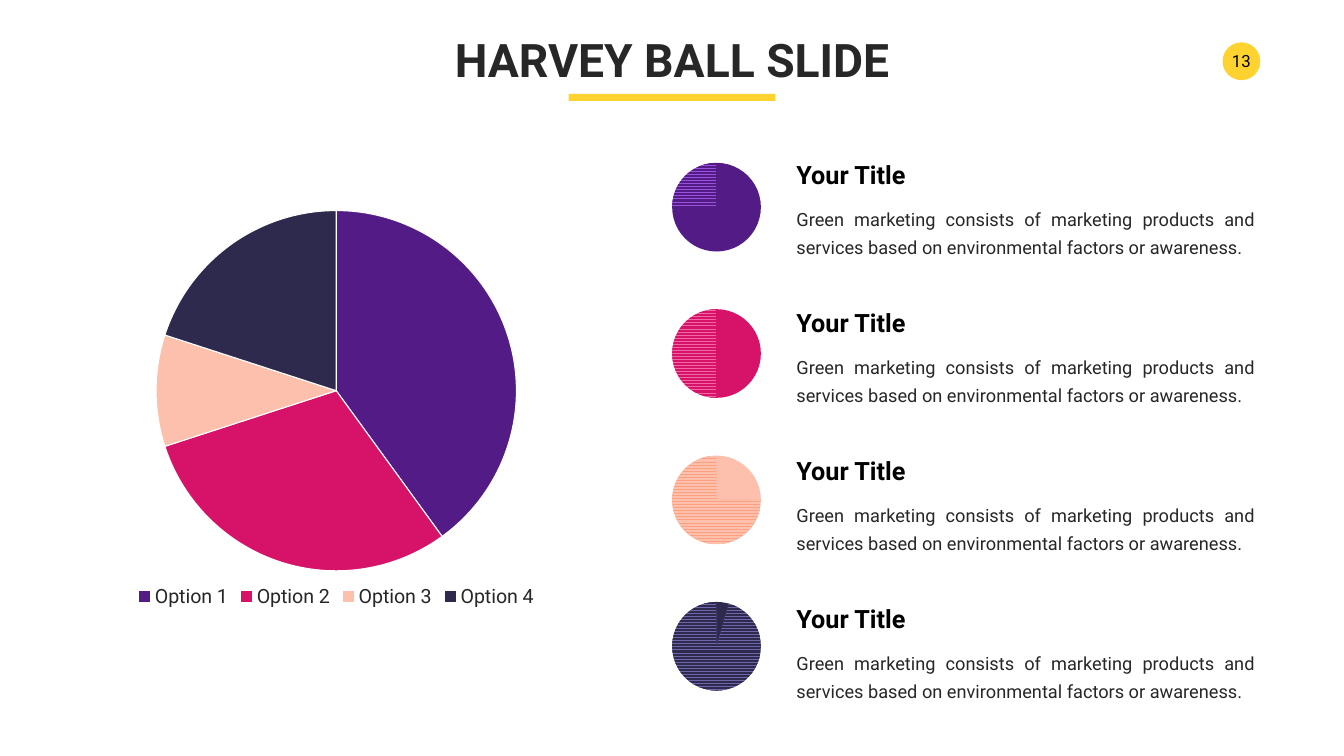
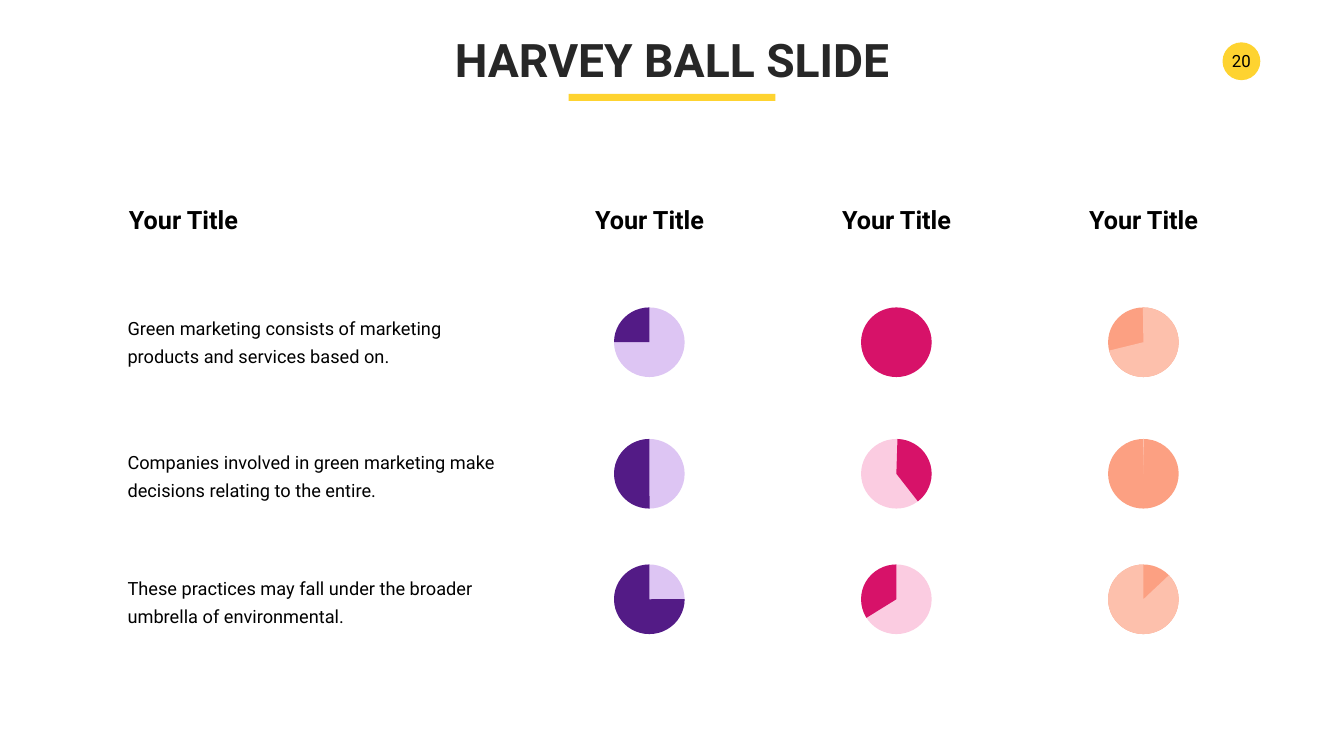
from dataclasses import dataclass
from typing import Optional

from pptx import Presentation
from pptx.chart.data import CategoryChartData
from pptx.dml.color import RGBColor
from pptx.enum.chart import XL_CHART_TYPE, XL_LEGEND_POSITION
from pptx.enum.dml import MSO_PATTERN
from pptx.enum.shapes import MSO_SHAPE
from pptx.enum.text import MSO_ANCHOR, MSO_AUTO_SIZE, PP_ALIGN
from pptx.util import Pt

FONT = "Roboto"
YELLOW, INK, BLACK, WHITE = "FED330", "272727", "000000", "FFFFFF"
PURPLE, PINK, PEACH, NAVY = "531B86", "D71269", "FDC0AC", "2E2A4D"
ORANGE = "FCA082"
HEADING = "Your Title"
BODY = "Green marketing consists of marketing products and services based on environmental factors or awareness."


@dataclass
class Box:
    x: float
    y: float
    w: float
    h: float

    def lengths(self):
        return Pt(self.x), Pt(self.y), Pt(self.w), Pt(self.h)


@dataclass
class Style:
    size: float
    color: str
    bold: bool = False
    align: PP_ALIGN = PP_ALIGN.LEFT
    wrap: bool = False
    spacing: Optional[float] = None
    anchor: MSO_ANCHOR = MSO_ANCHOR.TOP


@dataclass
class Ball:
    box: Box
    base: str
    wedge: str
    start: float
    end: float
    stripe: Optional[str] = None


@dataclass
class Row:
    text: str
    text_y: float
    ball_y: float


@dataclass
class Column:
    base: str
    wedge: str
    angles: list


TITLE = Style(66, INK, bold=True, align=PP_ALIGN.CENTER)
LEFT_HEAD = Style(36, BLACK, bold=True)
CENTER_HEAD = Style(36, BLACK, bold=True, align=PP_ALIGN.CENTER)
JUSTIFIED = Style(26, INK, align=PP_ALIGN.JUSTIFY, wrap=True, spacing=40)
ROW_TEXT = Style(26, BLACK, wrap=True, spacing=40, anchor=MSO_ANCHOR.MIDDLE)
BADGE = Style(24, BLACK, align=PP_ALIGN.CENTER, anchor=MSO_ANCHOR.MIDDLE)


def rgb(value: str) -> RGBColor:
    return RGBColor.from_string(value)


def write(tf, text: str, style: Style) -> None:
    tf.word_wrap = style.wrap
    tf.vertical_anchor = style.anchor
    p = tf.paragraphs[0]
    p.alignment = style.align
    if style.spacing:
        p.line_spacing = Pt(style.spacing)
    r = p.add_run()
    r.text = text
    r.font.name = FONT
    r.font.size = Pt(style.size)
    r.font.bold = style.bold
    r.font.color.rgb = rgb(style.color)


def add_text(s, box: Box, text: str, style: Style) -> None:
    tf = s.shapes.add_textbox(*box.lengths()).text_frame
    write(tf, text, style)
    tf.auto_size = MSO_AUTO_SIZE.SHAPE_TO_FIT_TEXT


def add_shape(s, kind: MSO_SHAPE, box: Box, fill: str):
    sp = s.shapes.add_shape(kind, *box.lengths())
    sp.shadow.inherit = False
    sp.fill.solid()
    sp.fill.fore_color.rgb = rgb(fill)
    sp.line.fill.background()
    return sp


def add_ball(s, ball: Ball) -> None:
    add_shape(s, MSO_SHAPE.OVAL, ball.box, ball.base)
    sp = add_shape(s, MSO_SHAPE.PIE, ball.box, ball.wedge)
    for i, degrees in enumerate((ball.start, ball.end)):
        sp.adjustments[i] = degrees * 0.6
    if ball.stripe:
        sp.fill.patterned()
        sp.fill.pattern = MSO_PATTERN.ZIG_ZAG
        sp.fill.fore_color.rgb = rgb(ball.wedge)
        sp.fill.back_color.rgb = rgb(ball.stripe)


def new_slide(prs, number: int):
    s = prs.slides.add_slide(prs.slide_layouts[6])
    s.background.fill.solid()
    s.background.fill.fore_color.rgb = rgb(WHITE)
    badge = add_shape(s, MSO_SHAPE.OVAL, Box(1746, 60.5, 54, 54), YELLOW)
    tf = badge.text_frame
    tf.margin_left = tf.margin_right = tf.margin_top = tf.margin_bottom = Pt(3.6)
    write(tf, str(number), BADGE)
    add_text(s, Box(639, 41, 642, 87), "HARVEY BALL SLIDE", TITLE)
    add_shape(s, MSO_SHAPE.RECTANGLE, Box(812.2, 134, 295.2, 10), YELLOW)
    return s


def add_pie(s, box: Box, values: list, colors: list) -> None:
    data = CategoryChartData()
    data.categories = [f"Option {i + 1}" for i in range(len(values))]
    data.add_series("Series 1", values)
    chart = s.shapes.add_chart(XL_CHART_TYPE.PIE, *box.lengths(), data).chart
    chart.has_title = False
    chart.has_legend = True
    chart.legend.position = XL_LEGEND_POSITION.BOTTOM
    chart.legend.include_in_layout = False
    for font in (chart.font, chart.legend.font):
        font.name = FONT
        font.size = Pt(28)
        font.color.rgb = rgb(INK)
    plot = chart.plots[0]
    plot.vary_by_categories = True
    for i, color in enumerate(colors):
        fmt = plot.series[0].points[i].format
        fmt.fill.solid()
        fmt.fill.fore_color.rgb = rgb(color)
        fmt.line.color.rgb = rgb(WHITE)
        fmt.line.width = Pt(1.5)


def build_options(prs) -> None:
    s = new_slide(prs, 13)
    options = [
        (PURPLE, "9A51DC", 180.36),
        (PINK, "F266A4", 89.69),
        (PEACH, ORANGE, 359.09),
        (NAVY, "6F67AC", 286.08),
    ]
    add_pie(s, Box(111.6, 290.9, 737.3, 583.2), [40, 30, 10, 20], [o[0] for o in options])
    for i, (color, stripe, start) in enumerate(options):
        y = 224 + i * 211.4
        add_text(s, Box(1130.4, y + 61.2, 669.6, 84.2), BODY, JUSTIFIED)
        add_text(s, Box(1130.4, y, 172.8, 51), HEADING, LEFT_HEAD)
        box = Box(960, 232.6 + i * 209.1, 126.7, 126.7)
        add_ball(s, Ball(box, color, color, start, 269.56, stripe))


def build_matrix(prs) -> None:
    s = new_slide(prs, 20)
    rows = [
        Row("Green marketing consists of marketing products and services based on.", 442, 439.2),
        Row("Companies involved in green marketing make decisions relating to the entire.", 634.3, 627.1),
        Row("These practices may fall under the broader umbrella of environmental.", 814.3, 806.4),
    ]
    columns = [
        Column("DDC5F3", PURPLE, [(180, 270), (89.55, 270), (359.62, 270)]),
        Column("FBCCE1", PINK, [(270.27, 270), (271.82, 52.02), (148.17, 270)]),
        Column(ORANGE, PEACH, [(269.19, 166.3), (269.64, 270.82), (316.71, 270)]),
    ]
    add_text(s, Box(177.1, 288.7, 172.8, 51), HEADING, LEFT_HEAD)
    for row in rows:
        add_text(s, Box(175, row.text_y, 540.7, 84.2), row.text, ROW_TEXT)
    for i, column in enumerate(columns):
        x = 877 + i * 352.8
        add_text(s, Box(x - 35.7, 288.7, 172.8, 51), HEADING, CENTER_HEAD)
        for row, (start, end) in zip(rows, column.angles):
            box = Box(x, row.ball_y, 100.8, 99.4)
            add_ball(s, Ball(box, column.base, column.wedge, start, end))


def main() -> None:
    prs = Presentation()
    prs.slide_width, prs.slide_height = Pt(1919.52), Pt(1080)
    build_options(prs)
    build_matrix(prs)
    prs.save("out.pptx")


if __name__ == "__main__":
    main()
